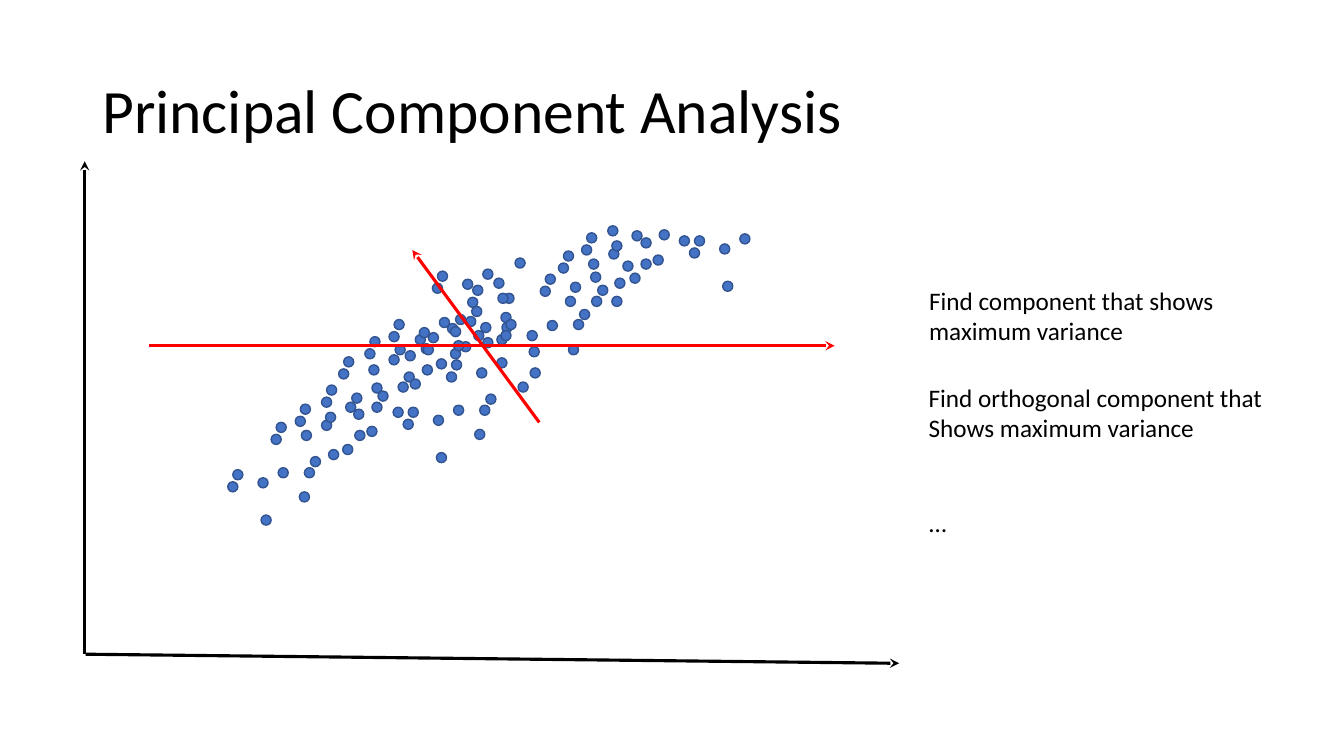
from itertools import product

from lxml import etree
from pptx import Presentation
from pptx.dml.color import RGBColor
from pptx.enum.shapes import MSO_CONNECTOR, MSO_SHAPE
from pptx.enum.text import MSO_ANCHOR, MSO_AUTO_SIZE
from pptx.oxml.ns import qn
from pptx.util import Pt

COLORS = {"text": "000000", "axis": "000000", "component": "FF0000",
          "dot": "4472C4", "dot_edge": "325491"}
FONT = "Calibri"
DOT_SIZE = 7.2
DOT_STEP = 0.72
CLUSTER = [(0, 0), (5, -12), (33, 33), (30, -4), (50, -14), (71, 10), (82, -25)]
CHAIN = [(0, 0), (43, -47), (93, -84), (136, -132)]
CHAIN_STARTS = [(26, 278), (200, 216), (93, 213)]
SINGLE_CLUSTERS = {
    (311, 108): (4, 6),
    (354, 61): range(7),
    (403, 24): (0, 2, 5),
    (484, 46): range(5),
    (377, 43): range(6),
    (454, 28): (0,),
    (197, 160): (1, 4, 6),
    (247, 124): (0, 1, 3, 4),
    (290, 76): (0,),
    (220, 142): (0, 1, 3, 4, 6),
    (264, 95): range(4),
}


def rgb(name):
    """Return the named colour."""
    return RGBColor.from_string(COLORS[name])


def add_text(s, box, lines, size, wrap=False, anchor=MSO_ANCHOR.TOP, spacing=None):
    """Add a text box with one paragraph per line."""
    tf = s.shapes.add_textbox(*map(Pt, box)).text_frame
    tf.word_wrap = wrap
    tf.auto_size = MSO_AUTO_SIZE.NONE if wrap else MSO_AUTO_SIZE.SHAPE_TO_FIT_TEXT
    tf.vertical_anchor = anchor
    for i, line in enumerate(lines):
        p = tf.add_paragraph() if i else tf.paragraphs[0]
        if spacing:
            p.line_spacing = spacing
        r = p.add_run()
        r.text = line
        r.font.name = FONT
        r.font.size = Pt(size)
        r.font.color.rgb = rgb("text")


def add_arrow(s, x, y, start, end, color):
    """Draw a stealth-headed arrow between two points offset from x, y."""
    c = s.shapes.add_connector(
        MSO_CONNECTOR.STRAIGHT, Pt(x + start[0]), Pt(y + start[1]),
        Pt(x + end[0]), Pt(y + end[1]))
    c.line.width = Pt(2.25)
    c.line.color.rgb = rgb(color)
    etree.SubElement(c.line._get_or_add_ln(), qn("a:tailEnd"), type="stealth")
    etree.SubElement(c._element.spPr, qn("a:effectLst"))


def add_cluster(s, x, y, members):
    """Draw the chosen dots of one cluster from its first dot at x, y."""
    for i in members:
        dx, dy = CLUSTER[i]
        sp = s.shapes.add_shape(
            MSO_SHAPE.OVAL, Pt(x + dx * DOT_STEP), Pt(y + dy * DOT_STEP),
            Pt(DOT_SIZE), Pt(DOT_SIZE))
        sp.shadow.inherit = False
        sp.fill.solid()
        sp.fill.fore_color.rgb = rgb("dot")
        sp.line.color.rgb = rgb("dot_edge")
        sp.line.width = Pt(1)


def add_cloud(s, x, y):
    """Scatter chained and single clusters from the corner x, y."""
    clusters = {(col + dx, row + dy): range(len(CLUSTER))
                for (col, row), (dx, dy) in product(CHAIN_STARTS, CHAIN)}
    clusters.update(SINGLE_CLUSTERS)
    for (col, row), members in clusters.items():
        add_cluster(s, x + col * DOT_STEP, y + row * DOT_STEP, members)


def add_plot(s, x, y, w, h):
    """Draw the dots, both axes and both components in the plot box."""
    add_cloud(s, x + 83.5, y + 28.8)
    base = h - 6.5
    add_arrow(s, x, y, (0, base), (0, 0), "axis")
    add_arrow(s, x, y, (0.7, base), (w, h), "axis")
    add_arrow(s, x, y, (46, 131.8), (535.7, 131.8), "component")
    add_arrow(s, x, y, (324.7, 186.5), (234, 63.4), "component")


def add_notes_column(s, x, y):
    """Stack the three remarks beside the plot."""
    add_text(s, (x, y, 220.3, 51),
             ["Find component that shows", "maximum variance"], 18)
    add_text(s, (x - 0.4, y + 69.5, 255.6, 51),
             ["Find orthogonal component that", "Shows maximum variance"], 18)
    add_text(s, (x, y + 158.7, 27.4, 29), ["…"], 18)


def main():
    """Build the slide and save it."""
    prs = Presentation()
    prs.slide_width, prs.slide_height = Pt(960), Pt(540)
    s = prs.slides.add_slide(prs.slide_layouts[6])
    add_text(s, (66, 28.75, 828, 104.4), ["Principal Component Analysis"], 44,
             wrap=True, anchor=MSO_ANCHOR.MIDDLE, spacing=0.9)
    add_plot(s, 60.5, 115.2, 581.8, 358.6)
    add_notes_column(s, 656.6, 200)
    prs.save("out.pptx")


if __name__ == "__main__":
    main()
